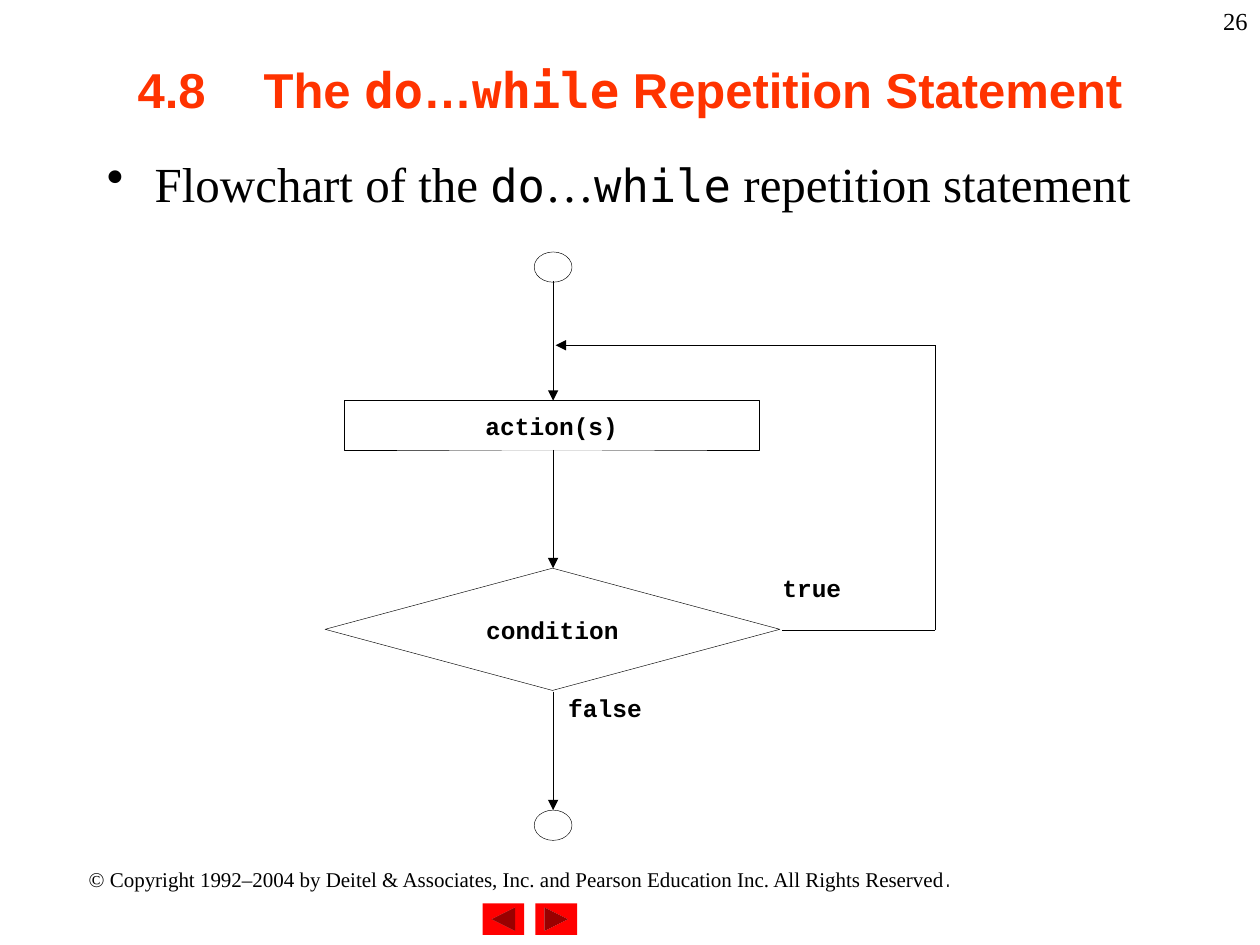
import pptx
import pptx.util
import pptx.dml.color
import pptx.enum.shapes
import pptx.enum.text
import pptx.oxml.ns
from lxml import etree

Inches = pptx.util.Inches
Pt = pptx.util.Pt
Shapes = pptx.enum.shapes.MSO_SHAPE
Align = pptx.enum.text.PP_ALIGN
Anchor = pptx.enum.text.MSO_ANCHOR
qn = pptx.oxml.ns.qn

COLORS = {"ink": "000000", "title": "FF3300", "paper": "FFFFFF", "button": "FF0000"}
SERIF, SANS, CODE, MONO = "Times New Roman", "Arial", "Courier New", "DejaVu Sans Mono"


def color(name):
    return pptx.dml.color.RGBColor.from_string(COLORS[name])


class FlowchartSlide:
    """Holds the style and the current slide, with a method for each kind of element."""

    def __init__(self, deck):
        self.page = deck.slides.add_slide(deck.slide_layouts[5])
        self.line_width = Pt(0.25)
        self.label_size = 14

    def add_spans(self, frame, spans, size, align=Align.LEFT, ink="ink", bold=False):
        para = frame.paragraphs[0]
        para.alignment = align
        para.font.size = Pt(size)
        para.font.bold = bold
        para.font.color.rgb = color(ink)
        if len({font for _, font, *_ in spans}) == 1:
            para.font.name = spans[0][1]
        for text, font, *span_size in spans:
            span = para.add_run()
            span.text = text
            if para.font.name is None:
                span.font.name = font
            if span_size:
                span.font.size = Pt(span_size[0])

    def title(self, place, spans, size):
        box = self.page.shapes.title
        box.left, box.top, box.width, box.height = map(Inches, place)
        frame = box.text_frame
        frame.auto_size = pptx.enum.text.MSO_AUTO_SIZE.NONE
        frame.vertical_anchor = Anchor.MIDDLE
        props = frame.paragraphs[0]._p.get_or_add_pPr()
        stops = etree.SubElement(props, qn("a:tabLst"))
        for inch in range(8):
            etree.SubElement(stops, qn("a:tab"), pos=str(Inches(inch)), algn="l")
        self.add_spans(frame, spans, size, Align.CENTER, "title", True)

    def text(self, place, spans, size, align=Align.LEFT, bullet=False):
        box = self.page.shapes.add_textbox(*map(Inches, place))
        box.text_frame.word_wrap = True
        if bullet:
            props = box.text_frame.paragraphs[0]._p.get_or_add_pPr()
            props.set("marL", str(Inches(0.38)))
            props.set("indent", str(Inches(-0.38)))
            etree.SubElement(props, qn("a:buChar"), char="•")
        self.add_spans(box.text_frame, spans, size, align)

    def branch_label(self, place, text):
        box = self.page.shapes.add_textbox(*map(Inches, place))
        self.code(box.text_frame, text, Align.LEFT)

    def code(self, frame, text, align):
        frame.margin_left = frame.margin_right = 0
        frame.margin_top = frame.margin_bottom = 0
        frame.word_wrap = True
        self.add_spans(frame, [(text, CODE)], self.label_size, align, bold=True)

    def node(self, kind, place, text="", fill=None):
        shape = self.page.shapes.add_shape(kind, *map(Inches, place))
        shape.shadow.inherit = False
        if fill:
            shape.fill.solid()
            shape.fill.fore_color.rgb = color(fill)
        else:
            shape.fill.background()
        shape.line.color.rgb = color("ink")
        shape.line.width = self.line_width
        if text:
            shape.text_frame.vertical_anchor = Anchor.MIDDLE
            self.code(shape.text_frame, text, Align.CENTER)

    def button(self, kind, place):
        shape = self.page.shapes.add_shape(kind, *map(Inches, place))
        shape.shadow.inherit = False
        shape.fill.solid()
        shape.fill.fore_color.rgb = color("button")
        shape.line.fill.background()

    def line(self, start, end, arrow=False):
        link = self.page.shapes.add_connector(
            pptx.enum.shapes.MSO_CONNECTOR.STRAIGHT, *map(Inches, start + end))
        link.line.color.rgb = color("ink")
        link.line.width = self.line_width
        props = link._element.spPr
        if arrow:
            etree.SubElement(props.find(qn("a:ln")), qn("a:tailEnd"), type="triangle")
        etree.SubElement(props, qn("a:effectLst"))


def main():
    deck = pptx.Presentation()
    deck.slide_width, deck.slide_height = Inches(10), Inches(7.5)
    slide = FlowchartSlide(deck)

    slide.text((0.5, 6.83, 7.25, 0.3), [
        ("© Copyright 1992–2004 by Deitel & Associates, Inc. and Pearson Education Inc. "
         "All Rights Reserved", SERIF),
        (".", "TeX Gyre Adventor")], 12, Align.CENTER)
    slide.button(Shapes.ACTION_BUTTON_BACK_OR_PREVIOUS, (3.83, 7.17, 0.33, 0.25))
    slide.button(Shapes.ACTION_BUTTON_FORWARD_OR_NEXT, (4.25, 7.17, 0.33, 0.25))

    slide.title((0.75, 0.08, 8.5, 1.25), [
        ("4.8\tThe ", SANS), ("do", MONO), ("…", SANS), ("while", MONO),
        (" Repetition Statement", SANS)], 28)
    slide.text((0.75, 1.17, 8.5, 0.6), [
        ("Flowchart of the ", SERIF), ("do", MONO, 26), ("…", SERIF), ("while", MONO, 26),
        (" repetition statement", SERIF)], 28, bullet=True)
    slide.text((7.92, 0, 2.08, 0.5), [("26", SERIF)], 14, Align.RIGHT)

    axis, loop_right, loop_top, decision = 4.39, 7.42, 2.74, 5
    for top, bottom in ((2.23, 3.18), (3.57, 4.51), (5.49, 6.43)):
        slide.line((axis, top), (axis, bottom), arrow=True)
    for top in (2, 6.43):
        slide.node(Shapes.OVAL, (axis - 0.15, top, 0.3, 0.24))
    slide.node(Shapes.RECTANGLE, (2.73, 3.18, 3.3, 0.39), "action(s)")
    slide.node(Shapes.DIAMOND, (2.58, 4.51, 3.61, 0.97), "condition", "paper")

    slide.line((6.21, decision), (loop_right, decision))
    slide.line((loop_right, decision), (loop_right, loop_top))
    slide.line((loop_right, loop_top), (4.41, loop_top), arrow=True)
    slide.branch_label((6.21, 4.55, 1.06, 0.47), "true")
    slide.branch_label((4.51, 5.5, 1.3, 0.47), "false")

    deck.save("out.pptx")


if __name__ == "__main__":
    main()
